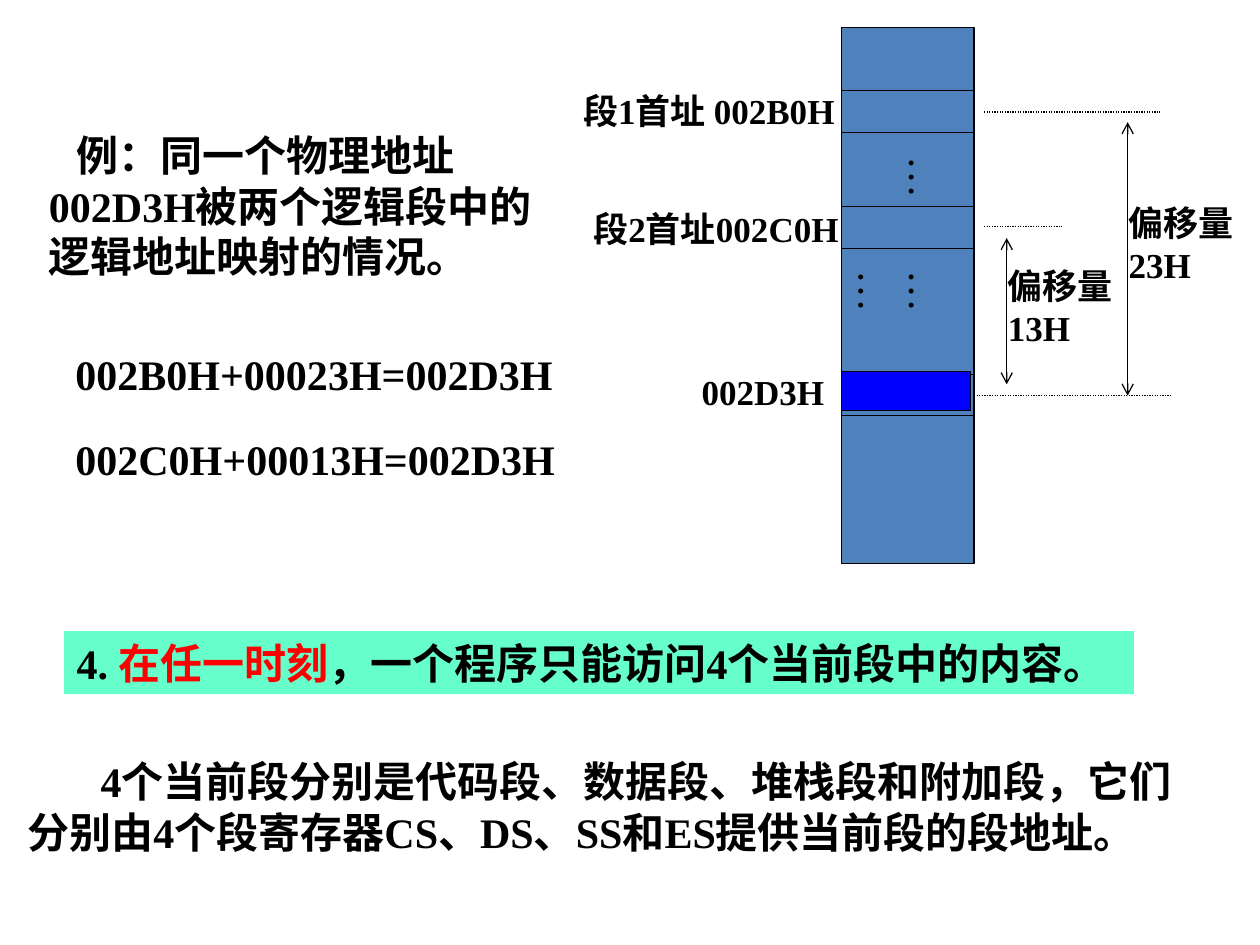
from dataclasses import dataclass

from lxml import etree
from pptx import Presentation
from pptx.dml.color import RGBColor
from pptx.enum.dml import MSO_LINE
from pptx.enum.shapes import MSO_CONNECTOR, MSO_SHAPE
from pptx.enum.text import MSO_ANCHOR, MSO_AUTO_SIZE, PP_ALIGN
from pptx.oxml.ns import qn
from pptx.util import Inches, Pt

RECT = MSO_SHAPE.RECTANGLE
STRAIGHT = MSO_CONNECTOR.STRAIGHT
DOTTED = MSO_LINE.ROUND_DOT
LEFT = PP_ALIGN.LEFT
TOP = MSO_ANCHOR.TOP
GROW = MSO_AUTO_SIZE.SHAPE_TO_FIT_TEXT


@dataclass(frozen=True)
class Theme:
    font: str = "Times New Roman"
    body: float = 24
    label: float = 20
    line: float = 0.75
    ink: str = "000000"
    accent: str = "FF0000"
    banner: str = "66FFCC"
    memory: str = "4F81BD"
    target: str = "0000FF"


THEME = Theme()
MEM_X, MEM_Y, MEM_W, MEM_H = 6.68, 0.22, 1.05, 4.25
CELL_H = 0.33
CELL_TOPS = (0.72, 1.64, 2.97)

# left, top, width, height, size, first-line indent, text
TEXTS = (
    (0.12, 5.95, 9.57, 0.91, THEME.body, 0.58,
     "4个当前段分别是代码段、数据段、堆栈段和附加段，它们分别由4个段寄存器CS、DS、SS和ES提供当前段的段地址。"),
    (0.29, 0.98, 4.17, 1.31, THEME.body, 0.22,
     "例：同一个物理地址002D3H被两个逻辑段中的逻辑地址映射的情况。"),
    (0.5, 2.72, 4.25, 0.5, THEME.body, 0, "002B0H+00023H=002D3H"),
    (0.5, 3.39, 4.33, 0.5, THEME.body, 0, "002C0H+00013H=002D3H"),
    (4.53, 0.66, 2.2, 0.43, THEME.label, 0, "段1首址 002B0H"),
    (4.61, 1.6, 2.22, 0.43, THEME.label, 0, "段2首址002C0H"),
    (5.47, 2.89, 1.2, 0.43, THEME.label, 0, "002D3H"),
    (8.86, 1.55, 1.14, 0.77, THEME.label, 0, "偏移量23H"),
    (7.9, 2.05, 1.14, 0.77, THEME.label, 0, "偏移量13H"),
)
ELLIPSES = ((2.05, 0.75, "……"), (1.14, 0.5, "…"))
GUIDES = ((7.81, 9.21, 0.89), (7.81, 8.43, 1.8), (7.73, 9.3, 3.14))
OFFSET_ARROWS = ((7.99, 1.89, 3.05), (8.95, 0.97, 3.14))


def rgb(color):
    return RGBColor.from_string(color)


def set_attrs(obj, values):
    for name, value in values.items():
        setattr(obj, name, value)


def write(sp, runs, size=THEME.body, bold=True, wrap=True, indent=0):
    """Fill a shape with one paragraph of (text, colour) runs."""
    tf = sp.text_frame
    set_attrs(tf, {"word_wrap": wrap, "auto_size": GROW, "vertical_anchor": TOP})
    p = tf.paragraphs[0]
    p.alignment = LEFT
    if indent:
        p._p.get_or_add_pPr().set("indent", str(Inches(indent)))
    for text, color in runs:
        r = p.add_run()
        r.text = text
        set_attrs(r.font, {"name": THEME.font, "size": Pt(size), "bold": bold})
        r.font.color.rgb = rgb(color)


def add_text(s, x, y, w, h, size, indent, text):
    sp = s.shapes.add_textbox(*map(Inches, (x, y, w, h)))
    write(sp, [(text, THEME.ink)], size, indent=indent)


def add_ellipsis(s, y, h, text):
    sp = s.shapes.add_textbox(*map(Inches, (7, y, 0.6, h)))
    write(sp, [(text, THEME.ink)], bold=False)
    sp.text_frame._txBody.bodyPr.set("vert", "eaVert")


def add_rect(s, x, y, w, h, fill, outlined=True):
    sp = s.shapes.add_shape(RECT, *map(Inches, (x, y, w, h)))
    sp.shadow.inherit = False
    sp.fill.solid()
    sp.fill.fore_color.rgb = rgb(fill)
    if outlined:
        sp.line.color.rgb = rgb(THEME.ink)
        sp.line.width = Pt(THEME.line)
    else:
        sp.line.fill.background()
    return sp


def add_line(s, x1, y1, x2, y2, dash=None, arrows=False):
    c = s.shapes.add_connector(STRAIGHT, *map(Inches, (x1, y1, x2, y2)))
    c.line.color.rgb = rgb(THEME.ink)
    c.line.width = Pt(THEME.line)
    if dash:
        c.line.dash_style = dash
    if arrows:
        ln = c.line._get_or_add_ln()
        for end in ("a:headEnd", "a:tailEnd"):
            etree.SubElement(ln, qn(end)).set("type", "arrow")
    etree.SubElement(c._element.spPr, qn("a:effectLst"))


def add_memory(s):
    add_rect(s, MEM_X, MEM_Y, MEM_W, MEM_H, THEME.memory)
    for top in CELL_TOPS:
        for y in (top, top + CELL_H):
            add_line(s, MEM_X, y, MEM_X + MEM_W, y)
    for ellipsis in ELLIPSES:
        add_ellipsis(s, *ellipsis)
    add_rect(s, MEM_X, 2.95, 1.02, 0.31, THEME.target)


def add_offsets(s):
    for x1, x2, y in GUIDES:
        add_line(s, x1, y, x2, y, dash=DOTTED)
    for x, y1, y2 in OFFSET_ARROWS:
        add_line(s, x, y1, x, y2, arrows=True)


def main():
    prs = Presentation()
    prs.slide_width, prs.slide_height = Inches(10), Inches(7.5)
    s = prs.slides.add_slide(prs.slide_layouts[6])
    banner = add_rect(s, 0.51, 5.01, 8.49, 0.5, THEME.banner, outlined=False)
    write(banner, [("4. ", THEME.ink), ("在任一时刻", THEME.accent),
                   ("，一个程序只能访问4个当前段中的内容。", THEME.ink)], wrap=False)
    add_memory(s)
    add_offsets(s)
    for text in TEXTS:
        add_text(s, *text)
    prs.save("out.pptx")


if __name__ == "__main__":
    main()
